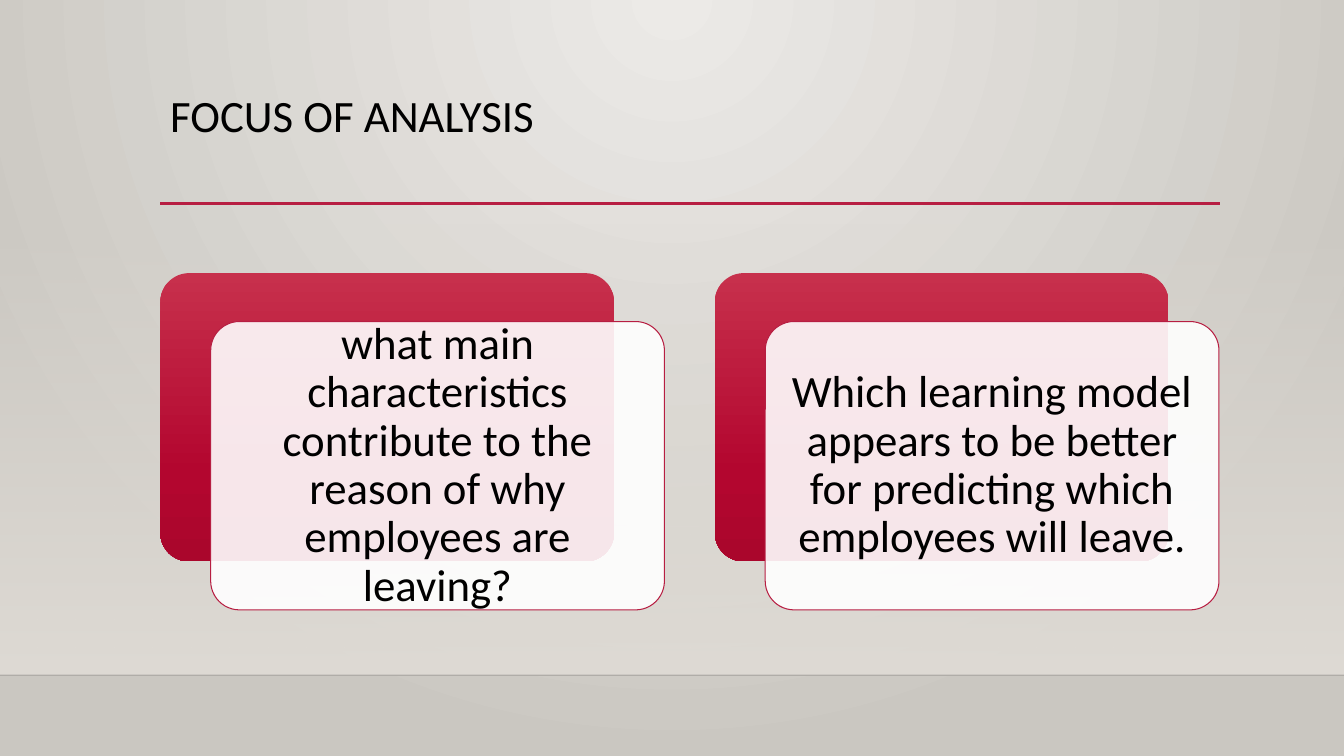
from lxml import etree
from pptx import Presentation
from pptx import util as u
from pptx.dml.color import RGBColor
from pptx.enum import shapes, text
from pptx.oxml.ns import qn

CRIMSON, WHITE, BLACK, SAND = "B71E42", "FFFFFF", "000000", "DFDBD5"
CARD_STOPS = [(0, "C7304C"), (69, "B3062F"), (100, "AA062C")]
SLIDE_LEFT, SLIDE_RIGHT, FLOOR = -3.18, 23.48, 8.31
CARD_WIDTH, CARD_HEIGHT, CARD_PITCH = 9, 5.96, 11
QUESTIONS = [
    "what main characteristics contribute to the reason of why employees are leaving?",
    "Which learning model appears to be better for predicting which employees will leave.",
]


def colour(code):
    return RGBColor.from_string(code)


def add_alpha(owner, percent):
    tint = owner.find(".//" + qn("a:srgbClr"))
    etree.SubElement(tint, qn("a:alpha"), val=str(percent * 1000))


class Deck:
    font, size = "Calibri", 32
    left, top, col, row = 1.59, 2.71, 0.5, 0.48

    def __init__(self):
        self.prs = Presentation()
        self.prs.slide_width, self.prs.slide_height = u.Inches(13.33), u.Inches(7.5)
        self.slide = self.prs.slides.add_slide(self.prs.slide_layouts[6])

    def point(self, col, row):
        return u.Inches(self.left + col * self.col), u.Inches(self.top + row * self.row)

    def box(self, col, row, cols, rows):
        return *self.point(col, row), u.Inches(cols * self.col), u.Inches(rows * self.row)

    def gradient(self, fill, owner, stops, focus=None):
        fill.gradient()
        grad = owner.find(".//" + qn("a:gradFill"))
        for child in list(grad):
            grad.remove(child)
        stop_list = etree.SubElement(grad, qn("a:gsLst"))
        for position, code, *alpha in stops:
            stop = etree.SubElement(stop_list, qn("a:gs"), pos=str(position * 1000))
            etree.SubElement(stop, qn("a:srgbClr"), val=code)
            if alpha:
                add_alpha(stop, alpha[0])
        if focus:
            route = etree.SubElement(grad, qn("a:path"), path="circle")
            sides = {side: str(share * 1000) for side, share in zip("ltrb", focus)}
            etree.SubElement(route, qn("a:fillToRect"), **sides)
        else:
            etree.SubElement(grad, qn("a:lin"), ang="5400000", scaled="0")

    def background(self, stops, focus):
        self.gradient(self.slide.background.fill, self.slide.element, stops, focus)

    def panel(self, kind, place, stops=None):
        panel = self.slide.shapes.add_shape(kind, *self.box(*place))
        panel.shadow.inherit = False
        if kind == shapes.MSO_SHAPE.ROUNDED_RECTANGLE:
            panel.adjustments[0] = 0.1
        if stops:
            self.gradient(panel.fill, panel.element.spPr, stops)
            panel.line.fill.background()
        return panel

    def rule(self, start, end, row, code, width, alpha=None):
        rule = self.slide.shapes.add_connector(
            shapes.MSO_CONNECTOR.STRAIGHT, *self.point(start, row), *self.point(end, row))
        rule.line.color.rgb = colour(code)
        rule.line.width = u.Pt(width)
        props = rule.element.spPr
        if alpha:
            add_alpha(props, alpha)
        etree.SubElement(props, qn("a:effectLst"))

    def set_words(self, frame, words, align):
        frame.word_wrap = True
        frame.text = words
        paragraph = frame.paragraphs[0]
        paragraph.alignment = align
        paragraph.line_spacing = 0.9
        font = paragraph.runs[0].font
        font.name, font.size = self.font, u.Pt(self.size)
        font.color.rgb = colour(BLACK)

    def title(self, words, place):
        heading = self.slide.shapes.add_textbox(*self.box(*place))
        self.set_words(heading.text_frame, words, text.PP_ALIGN.LEFT)

    def card(self, col, words):
        rounded = shapes.MSO_SHAPE.ROUNDED_RECTANGLE
        self.panel(rounded, (col, 0, CARD_WIDTH, CARD_HEIGHT), CARD_STOPS)
        front = self.panel(rounded, (col + 1, 1, CARD_WIDTH, CARD_HEIGHT))
        front.fill.solid()
        front.fill.fore_color.rgb = colour(WHITE)
        add_alpha(front.element.spPr, 90)
        front.line.color.rgb = colour(CRIMSON)
        front.line.width = u.Pt(0.75)
        frame = front.text_frame
        frame.margin_left = frame.margin_right = u.Inches(0.13)
        frame.margin_top = frame.margin_bottom = u.Inches(0.13)
        frame.vertical_anchor = text.MSO_ANCHOR.MIDDLE
        self.set_words(frame, words, text.PP_ALIGN.CENTER)


def main():
    deck = Deck()
    deck.background([(0, "ECEAE7"), (100, "CAC7C1")], (43, 0, 43, 100))
    wall = (SLIDE_LEFT, -1.04, SLIDE_RIGHT - SLIDE_LEFT, FLOOR + 1.04)
    deck.panel(shapes.MSO_SHAPE.RECTANGLE, wall, [(0, SAND, 0), (100, SAND)])
    deck.rule(SLIDE_LEFT, SLIDE_RIGHT, FLOOR, BLACK, 1, alpha=20)
    deck.rule(0, 21.02, -1.44, CRIMSON, 2.5)
    deck.title("FOCUS OF ANALYSIS", (0, -3.81, 21, 2.4))
    for index, question in enumerate(QUESTIONS):
        deck.card(index * CARD_PITCH, question)
    deck.prs.save("out.pptx")


if __name__ == "__main__":
    main()
